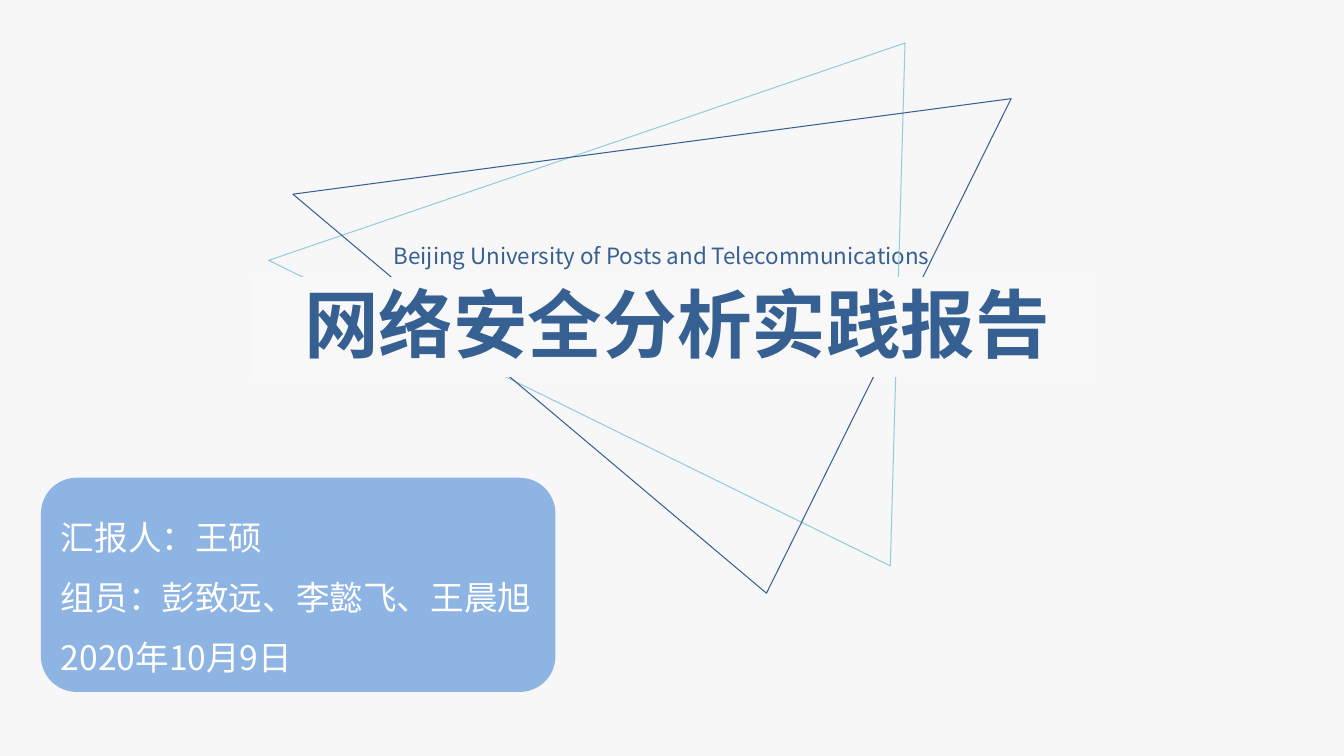
from pptx import Presentation
from pptx.dml.color import RGBColor
from pptx.enum.shapes import MSO_SHAPE
from pptx.enum.text import MSO_ANCHOR, MSO_AUTO_SIZE, PP_ALIGN
from pptx.util import Pt

PX = 9525  # EMU per px, 96 px to the inch
FONT = "Noto Sans CJK SC"
BLUE, AQUA, SKY, WHITE = "376092", "93CDDD", "8EB4E3", "FFFFFF"


def px(*lengths):
    return [n * PX for n in lengths]


def rgb(value):
    return RGBColor.from_string(value)


def set_text(s, lines, size, color, align=PP_ALIGN.LEFT, bold=False, spacing=None):
    tf = s.text_frame
    tf.word_wrap = True
    tf.auto_size = MSO_AUTO_SIZE.NONE
    tf.vertical_anchor = MSO_ANCHOR.MIDDLE
    for i, line in enumerate(lines):
        p = tf.add_paragraph() if i else tf.paragraphs[0]
        p.alignment = align
        if spacing:
            p.line_spacing = Pt(spacing)
        r = p.add_run()
        r.text = line
        font = r.font
        font.size, font.bold, font.name = Pt(size), bold, FONT
        font.color.rgb = rgb(color)
        ea = font._element.makeelement(
            "{http://schemas.openxmlformats.org/drawingml/2006/main}ea", {"typeface": FONT})
        font._element.append(ea)


def set_margins(s, side, top=0, bottom=0):
    tf = s.text_frame
    tf.margin_left = tf.margin_right = side * PX
    tf.margin_top, tf.margin_bottom = px(top, bottom)


def add_triangle(slide, points, color):
    builder = slide.shapes.build_freeform(*points[0], scale=PX)
    builder.add_line_segments(points[1:], close=True)
    s = builder.convert_to_shape()
    s.shadow.inherit = False
    s.fill.background()
    s.line.color.rgb = rgb(color)
    s.line.width = Pt(0.75)


def add_block(slide, kind, box, fill):
    s = slide.shapes.add_shape(kind, *px(*box))
    s.shadow.inherit = False
    s.fill.solid()
    s.fill.fore_color.rgb = rgb(fill)
    s.line.fill.background()
    return s


def add_title(slide, text, box):
    s = slide.shapes.title
    s.left, s.top, s.width, s.height = px(*box)
    set_margins(s, 12, bottom=8)
    set_text(s, [text], 53.3, BLUE, PP_ALIGN.CENTER, bold=True)
    slide.shapes._spTree.append(s._element)  # in front of the band


def main():
    prs = Presentation()
    prs.slide_width, prs.slide_height = px(1280, 720)
    slide = prs.slides.add_slide(prs.slide_layouts[5])
    slide.background.fill.solid()
    slide.background.fill.fore_color.rgb = rgb("F7F7F7")

    university = slide.shapes.add_textbox(*px(363, 224, 554, 38))
    set_margins(university, 12)
    set_text(university, ["Beijing University of Posts and Telecommunications"], 16, BLUE)

    add_triangle(slide, [(862, 41), (256, 248), (848, 539)], AQUA)
    add_triangle(slide, [(279, 185), (963, 94), (730, 565)], BLUE)

    card = add_block(slide, MSO_SHAPE.ROUNDED_RECTANGLE, (39, 455, 490, 204), SKY)
    set_margins(card, 9, top=4)
    set_text(card, ["汇报人：王硕", "组员：彭致远、李懿飞、王晨旭", "2020年10月9日"],
             24, WHITE, spacing=43)

    add_block(slide, MSO_SHAPE.RECTANGLE, (240, 264, 801, 95), "F8F8F8")
    add_title(slide, "网络安全分析实践报告", (156, 262, 978, 99))
    prs.save("out.pptx")


if __name__ == "__main__":
    main()
